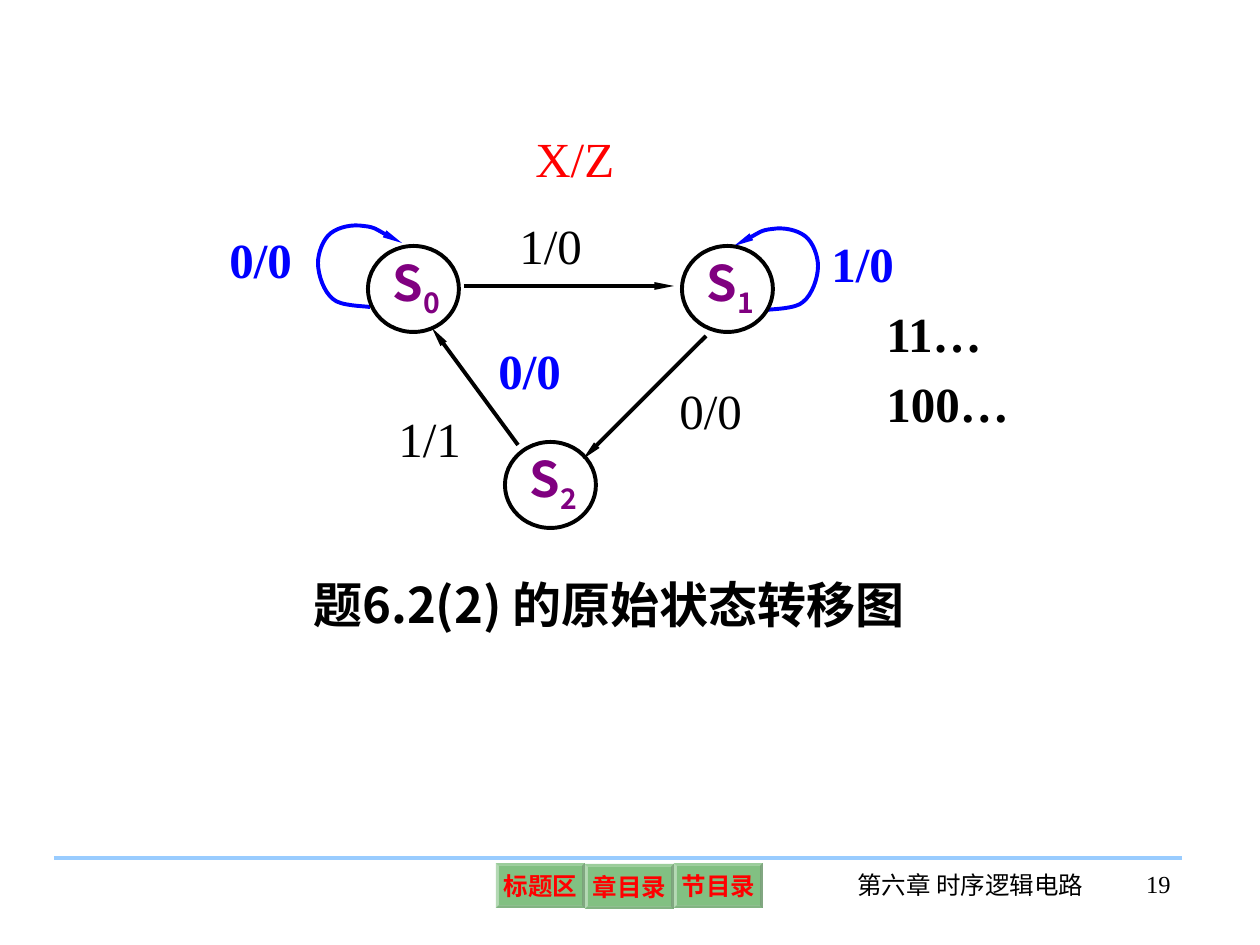
from lxml.etree import SubElement
from pptx import Presentation
from pptx.dml.color import RGBColor
from pptx.enum.shapes import MSO_CONNECTOR, MSO_SHAPE
from pptx.enum.text import MSO_ANCHOR, PP_ALIGN
from pptx.oxml.ns import qn
from pptx.util import Emu, Pt

PX = 914400 / 126
SERIF, SANS = "Times New Roman", "Noto Sans CJK SC"
BLACK = RGBColor(0x00, 0x00, 0x00)
BLUE = RGBColor(0x00, 0x00, 0xFF)
RED = RGBColor(0xFF, 0x00, 0x00)
PURPLE = RGBColor(0x80, 0x00, 0x80)
GREEN = RGBColor(0x00, 0x80, 0x00)
SKY = RGBColor(0x99, 0xCC, 0xFF)

STATE_W, STATE_H = 91, 86
LABEL_W, LABEL_H = 97, 72
BUTTON_W, BUTTON_H = 89, 45

# Self-loop of S0: start point, then three points for each Bezier segment
LOOP = [(370, 307),
        (364, 306), (340, 306), (333, 299),
        (324, 292), (318, 275), (318, 263),
        (318, 253), (323, 239), (331, 233),
        (339, 227), (352, 224), (364, 226),
        (375, 227), (393, 239), (402, 243)]
MIRROR_SUM, MIRROR_DROP = 1136, 3


def px(*lengths):
    return [Emu(round(length * PX)) for length in lengths]


def style_run(run, size, color, bold=False, font=SERIF):
    run.font.name = font
    run.font.size = Pt(size)
    run.font.bold = bold
    run.font.color.rgb = color
    SubElement(run._r.get_or_add_rPr(), qn("a:ea")).set("typeface", SANS)


def style_line(line, color):
    line.color.rgb = color
    line.width = Pt(2.25)


def add_arrowhead(line):
    head = SubElement(line._get_or_add_ln(), qn("a:tailEnd"))
    for key, value in (("type", "triangle"), ("w", "sm"), ("len", "lg")):
        head.set(key, value)


def add_label(slide, text, x, y, w=LABEL_W, h=LABEL_H, size=28, color=BLACK,
              bold=False, font=SERIF, align=PP_ALIGN.LEFT):
    frame = slide.shapes.add_textbox(*px(x, y, w, h)).text_frame
    frame.word_wrap = True
    paragraph = frame.paragraphs[0]
    paragraph.text = text
    paragraph.alignment = align
    style_run(paragraph.runs[0], size, color, bold, font)


def add_state(slide, index, x, y):
    circle = slide.shapes.add_shape(MSO_SHAPE.OVAL, *px(x, y, STATE_W, STATE_H))
    circle.shadow.inherit = False
    circle.fill.background()
    style_line(circle.line, BLACK)

    frame = slide.shapes.add_textbox(*px(x + 25, y + 6, 50, 67)).text_frame
    frame.word_wrap = True
    frame.margin_left = frame.margin_right = 0
    frame.margin_top = frame.margin_bottom = 0
    paragraph = frame.paragraphs[0]
    for part in ("S", str(index)):
        run = paragraph.add_run()
        run.text = part
        style_run(run, 28, PURPLE, True, SANS)
    run._r.get_or_add_rPr().set("baseline", "-25000")


def add_line(slide, start, end, color=BLACK, arrow=True):
    link = slide.shapes.add_connector(MSO_CONNECTOR.STRAIGHT, *px(*start, *end))
    style_line(link.line, color)
    if arrow:
        add_arrowhead(link.line)
    SubElement(link._element.spPr, qn("a:effectLst"))


def add_loop(slide, points):
    builder = slide.shapes.build_freeform(*points[0], scale=PX)
    builder.add_line_segments(points[1:], close=False)
    loop = builder.convert_to_shape()
    loop.shadow.inherit = False
    loop.fill.background()
    style_line(loop.line, BLUE)
    add_arrowhead(loop.line)

    # Turn every three straight steps into one cubic curve
    outline = next(loop._element.iter(qn("a:path")))
    steps = outline.findall(qn("a:lnTo"))
    for first in range(0, len(steps), 3):
        curve = SubElement(outline, qn("a:cubicBezTo"))
        for step in steps[first:first + 3]:
            curve.append(step[0])
            outline.remove(step)


def add_button(slide, text, x, y):
    button = slide.shapes.add_shape(MSO_SHAPE.BEVEL, *px(x, y, BUTTON_W, BUTTON_H))
    button.adjustments[0] = 0.06
    button.shadow.inherit = False
    button.fill.solid()
    button.fill.fore_color.rgb = GREEN
    color = next(button._element.spPr.iter(qn("a:srgbClr")))
    SubElement(color, qn("a:alpha")).set("val", "49000")
    button.line.fill.background()

    frame = button.text_frame
    frame.word_wrap = False
    frame.vertical_anchor = MSO_ANCHOR.MIDDLE
    frame.margin_left = frame.margin_right = Pt(3)
    frame.margin_top = frame.margin_bottom = Pt(3)
    paragraph = frame.paragraphs[0]
    paragraph.text = text
    paragraph.alignment = PP_ALIGN.CENTER
    style_run(paragraph.runs[0], 14, RED, True)


def main():
    deck = Presentation()
    deck.slide_width, deck.slide_height = px(1260, 945)
    slide = deck.slides.add_slide(deck.slide_layouts[6])

    # Caption and input sequences
    add_label(slide, "题6.2(2) 的原始状态转移图", 301, 568, w=696, bold=True, font=SANS)
    add_label(slide, "11…", 874, 297, w=198, bold=True)
    add_label(slide, "100…", 874, 367, w=205, bold=True)

    # Self-loops
    add_loop(slide, LOOP)
    add_loop(slide, [(MIRROR_SUM - x, y + MIRROR_DROP) for x, y in LOOP])

    # States
    for index, x, y in ((2, 505, 442), (1, 682, 246), (0, 368, 246)):
        add_state(slide, index, x, y)

    # Transitions between states
    for start, end in (((464, 286), (674, 286)),
                       ((706, 336), (583, 459)),
                       ((518, 445), (432, 328))):
        add_line(slide, start, end)

    # Transition labels
    add_label(slide, "X/Z", 523, 122, w=121, color=RED)
    for text, x, y in (("1/0", 507, 209), ("0/0", 667, 374), ("1/1", 386, 402)):
        add_label(slide, text, x, y)
    for text, x, y in (("0/0", 217, 223), ("1/0", 819, 227), ("0/0", 486, 334)):
        add_label(slide, text, x, y, color=BLUE, bold=True)

    # Footer
    add_line(slide, (54, 858), (1182, 858), SKY, arrow=False)
    for column, (text, y) in enumerate((("标题区", 863), ("章目录", 864), ("节目录", 863))):
        add_button(slide, text, 496 + column * BUTTON_W, y)
    add_label(slide, "第六章 时序逻辑电路", 839, 864, w=263, h=63, size=14,
              align=PP_ALIGN.CENTER)
    add_label(slide, "19", 1075, 863, w=108, h=63, size=14, align=PP_ALIGN.RIGHT)

    deck.save("out.pptx")


if __name__ == "__main__":
    main()
